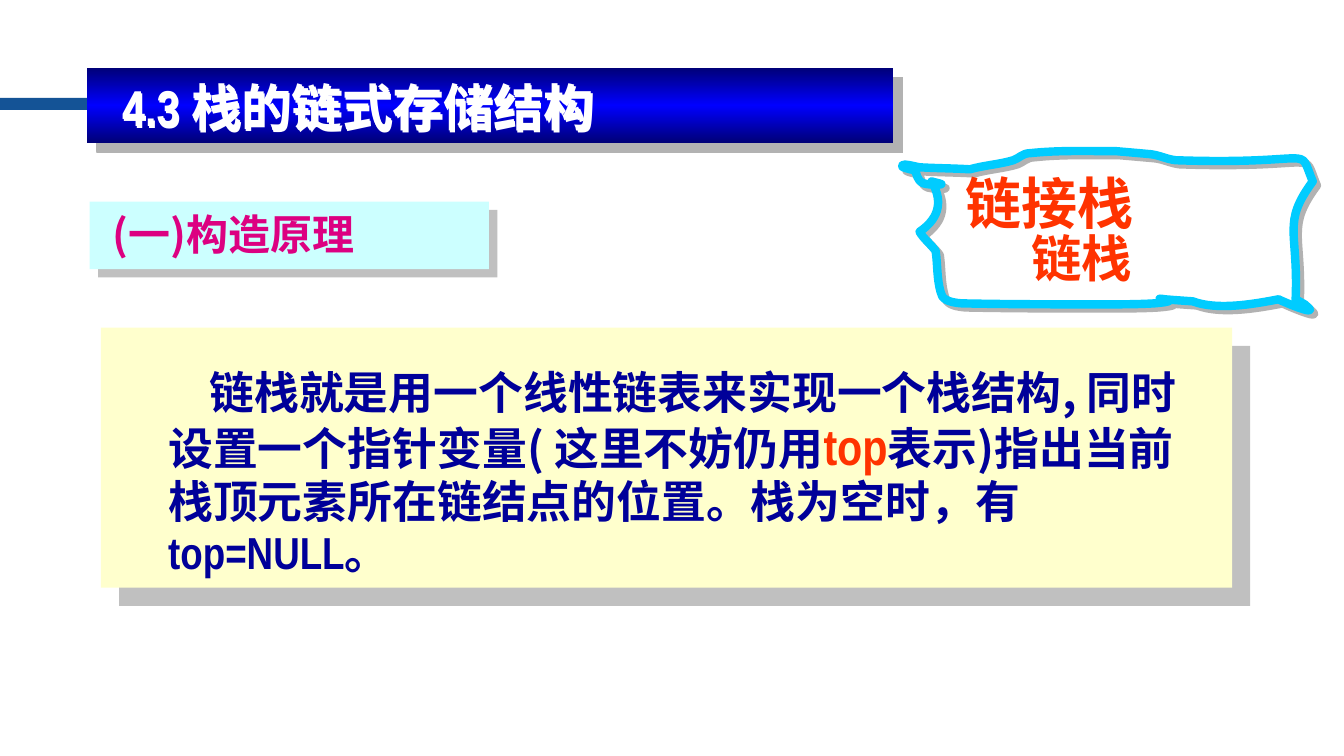
from lxml import etree
from pptx import Presentation
from pptx.dml.color import RGBColor
from pptx.enum import shapes, text
from pptx.oxml import ns
from pptx.util import Inches, Pt

CJK, LATIN = "Noto Sans CJK SC", "Arial Narrow"
STRIPE = RGBColor(0x14, 0x53, 0x96)
CREAM = RGBColor(0xFF, 0xFF, 0xCD)
PALE_CYAN = RGBColor(0xCC, 0xFF, 0xFF)
CYAN = RGBColor(0x00, 0xCC, 0xFF)
NAVY = RGBColor(0x00, 0x00, 0x99)
BAR_EDGE = RGBColor(0x00, 0x00, 0x76)
BAR_MIDDLE = RGBColor(0x00, 0x00, 0xFF)
WHITE = RGBColor(0xFF, 0xFF, 0xFF)
ORANGE = RGBColor(0xFF, 0x33, 0x00)
MAGENTA = RGBColor(0xDC, 0x00, 0x81)
SILVER = RGBColor(0xC0, 0xC0, 0xC0)
GREY = RGBColor(0xB2, 0xB2, 0xB2)

# Each run: wording, size, font, colour
TITLE = [("4.3 栈的链式存储结构", 36, LATIN, WHITE)]
SECTION = [("(一)构造原理", 30, CJK, MAGENTA)]
LINKED_STACK = [("链接栈", 40, LATIN, ORANGE)]
SHORT_NAME = [("链栈", 36, LATIN, ORANGE)]
DEFINITION = [
    ("链栈就是用一个线性链表来实现一个栈结构, 同时设置一个指针变量( 这里不妨仍用", 32, CJK, NAVY),
    ("top", 36, LATIN, ORANGE),
    ("表示)指出当前栈顶元素所在链结点的位置。栈为空时，有", 32, CJK, NAVY),
    ("top=NULL", 32, LATIN, NAVY),
    ("。", 32, CJK, NAVY),
]

# Scroll outline: a start point, then Bezier curves as two controls and an end
SCROLL_START = (9.24, 1.8)
SCROLL_CURVES = [
    ((9.34, 1.97), (9.34, 2.15), (9.12, 2.3)),
    ((9.16, 2.37), (9.23, 2.42), (9.28, 2.49)),
    ((9.3, 2.63), (9.29, 2.76), (9.33, 2.9)),
    ((9.34, 2.96), (9.39, 3), (9.54, 3.01)),
    ((10.01, 3.02), (10.47, 3.02), (10.94, 3.02)),
    ((11.11, 3.02), (11.29, 3.02), (11.45, 3.01)),
    ((11.91, 2.97), (11.08, 2.94), (11.83, 2.99)),
    ((12.07, 3.08), (12.42, 3.02), (12.68, 2.97)),
    ((12.72, 2.99), (12.93, 3.08), (12.98, 3.08)),
    ((13.02, 3.08), (12.96, 3.04), (12.94, 3.02)),
    ((12.91, 3), (12.88, 2.99), (12.85, 2.97)),
    ((12.88, 2.29), (12.71, 2.22), (13.02, 1.8)),
    ((12.86, 1.42), (13.11, 1.64), (11.66, 1.59)),
    ((11.57, 1.58), (11.5, 1.54), (11.41, 1.53)),
    ((11.3, 1.52), (11.07, 1.5), (11.07, 1.5)),
    ((10.78, 1.5), (10.5, 1.49), (10.22, 1.52)),
    ((10.14, 1.52), (10.11, 1.57), (10.05, 1.59)),
    ((9.92, 1.63), (9.76, 1.64), (9.62, 1.68)),
    ((9.45, 1.67), (9.28, 1.67), (9.12, 1.66)),
    ((9.06, 1.65), (8.97, 1.62), (8.95, 1.64)),
    ((8.92, 1.66), (9.03, 1.68), (9.07, 1.69)),
    ((9.1, 1.73), (9.09, 1.79), (9.16, 1.82)),
    ((9.2, 1.83), (9.28, 1.84), (9.33, 1.83)),
    ((9.37, 1.83), (9.27, 1.81), (9.24, 1.8)),
]


def add_child(parent, tag, **attributes):
    return etree.SubElement(parent, ns.qn(tag), attributes)


def cast_shadow(shape, color, distance):
    shape.shadow.inherit = False
    effects = shape.element.spPr.find(ns.qn("a:effectLst"))
    shadow = add_child(effects, "a:outerShdw", dist=str(Pt(distance)),
                       dir="2700000", algn="ctr", rotWithShape="0")
    add_child(shadow, "a:srgbClr", val=str(color))


def add_panel(slide, box, color):
    panel = slide.shapes.add_shape(shapes.MSO_SHAPE.RECTANGLE, *map(Inches, box))
    panel.shadow.inherit = False
    panel.fill.solid()
    panel.fill.fore_color.rgb = color
    panel.line.fill.background()
    return panel


def add_rule(slide):
    rule = slide.shapes.add_connector(
        shapes.MSO_CONNECTOR.STRAIGHT, *map(Inches, (3.68, 1.02, 6.62, 1.02)))
    rule.line.color.rgb = STRIPE
    rule.line.width = Pt(2.25)
    add_child(rule.element.spPr, "a:effectLst")


def shade_bar(bar):
    """Give the title bar a vertical gradient that is brightest in the middle."""
    bar.fill.gradient()
    bar.fill.gradient_angle = 270
    stops = bar.element.spPr.find(ns.qn("a:gradFill")).find(ns.qn("a:gsLst"))
    for stop in list(stops):
        stops.remove(stop)
    for position, color in ((0, BAR_EDGE), (50, BAR_MIDDLE), (100, BAR_EDGE)):
        stop = add_child(stops, "a:gs", pos=str(position * 1000))
        add_child(stop, "a:srgbClr", val=str(color))


def write(frame, runs):
    frame.word_wrap = True
    frame.auto_size = text.MSO_AUTO_SIZE.NONE
    frame.vertical_anchor = text.MSO_ANCHOR.TOP
    paragraph = frame.paragraphs[0]
    paragraph.alignment = text.PP_ALIGN.LEFT
    for wording, size, font, color in runs:
        run = paragraph.add_run()
        run.text = wording
        run.font.size = Pt(size)
        run.font.bold = True
        run.font.color.rgb = color
        run.font.name = font
        latin = run.font._element.find(ns.qn("a:latin"))
        latin.addnext(etree.Element(ns.qn("a:ea"), typeface=CJK))
    return paragraph


def add_text(slide, box, runs):
    return write(slide.shapes.add_textbox(*map(Inches, box)).text_frame, runs)


def add_title(slide, bar):
    title = slide.shapes.title
    title.left, title.top, title.width, title.height = map(Inches, (0.99, 0.71, 7.59, 0.7))
    title.text_frame.margin_left = Inches(0.22)
    write(title.text_frame, TITLE)
    title.fill.background()
    cast_shadow(title, WHITE, 1.5)
    bar.element.addnext(title.element)


def add_scroll(slide):
    """Lay out all curve points as segments, then join each three into a curve."""
    builder = slide.shapes.build_freeform(*map(Inches, SCROLL_START))
    builder.add_line_segments(
        [tuple(map(Inches, point)) for curve in SCROLL_CURVES for point in curve], close=True)
    scroll = builder.convert_to_shape()
    segments = list(scroll.element.spPr.iter(ns.qn("a:lnTo")))
    for first in range(0, len(segments), 3):
        curve = etree.Element(ns.qn("a:cubicBezTo"))
        segments[first].addprevious(curve)
        for segment in segments[first:first + 3]:
            curve.append(segment[0])
            segment.getparent().remove(segment)
    scroll.fill.background()
    scroll.line.color.rgb = CYAN
    scroll.line.width = Pt(6)
    add_child(scroll.line._get_or_add_ln(), "a:round")
    cast_shadow(scroll, GREY, 4.2)


def main():
    deck = Presentation()
    deck.slide_width, deck.slide_height = Inches(13.33), Inches(7.5)
    slide = deck.slides.add_slide(deck.slide_layouts[5])

    add_panel(slide, (0, 0.97, 3.72, 0.12), STRIPE)
    add_rule(slide)

    cast_shadow(add_panel(slide, (1, 3.25, 11.22, 2.58), CREAM), SILVER, 18.4)
    definition = add_text(slide, (1.57, 3.61, 10.45, 2.21), DEFINITION)
    definition.line_spacing = 0.95
    definition._p.get_or_add_pPr().set("indent", str(Inches(0.41)))

    bar = add_panel(slide, (0.86, 0.67, 8, 0.75), BAR_MIDDLE)
    shade_bar(bar)
    cast_shadow(bar, GREY, 9.9)
    add_title(slide, bar)

    cast_shadow(add_panel(slide, (0.89, 2, 3.96, 0.67), PALE_CYAN), SILVER, 8.5)
    add_text(slide, (1.02, 2.02, 4.07, 0.61), SECTION)

    add_scroll(slide)
    add_text(slide, (9.48, 1.62, 3.59, 0.77), LINKED_STACK)
    add_text(slide, (10.13, 2.2, 1.89, 0.7), SHORT_NAME)

    deck.save("out.pptx")


if __name__ == "__main__":
    main()
